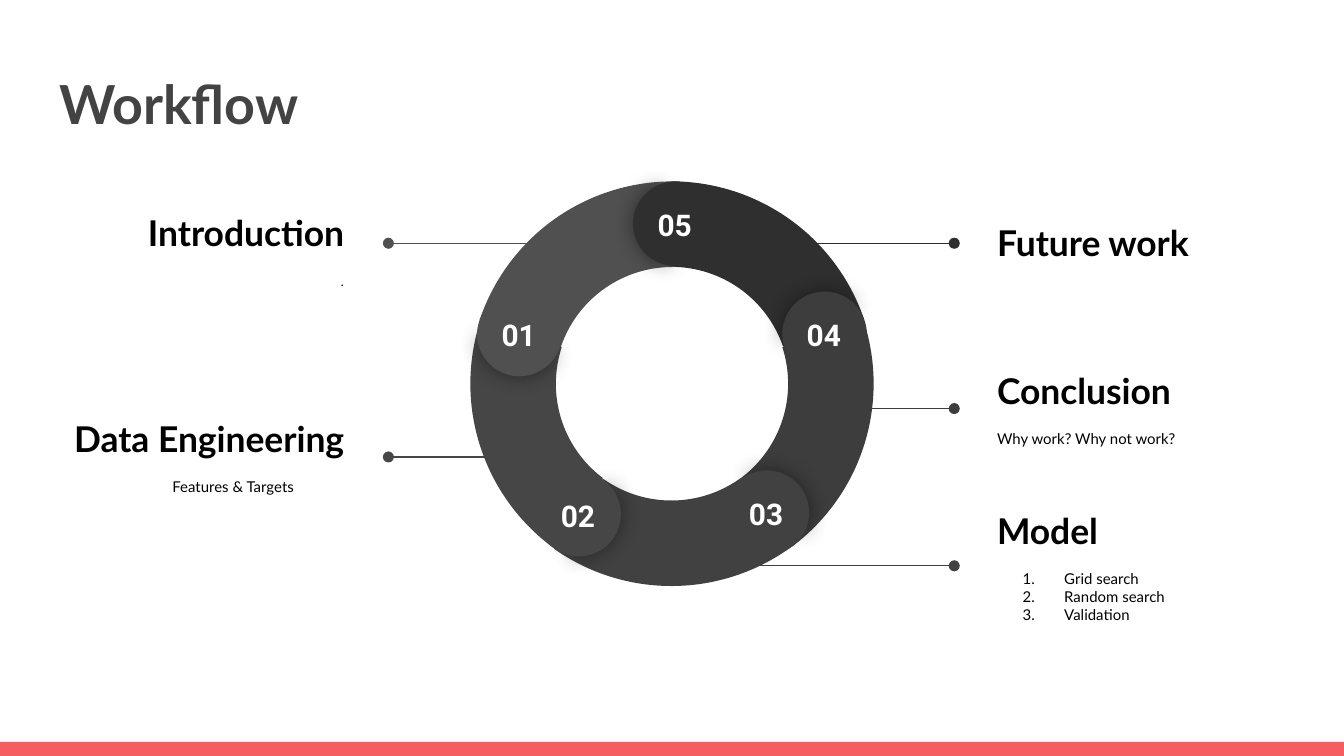
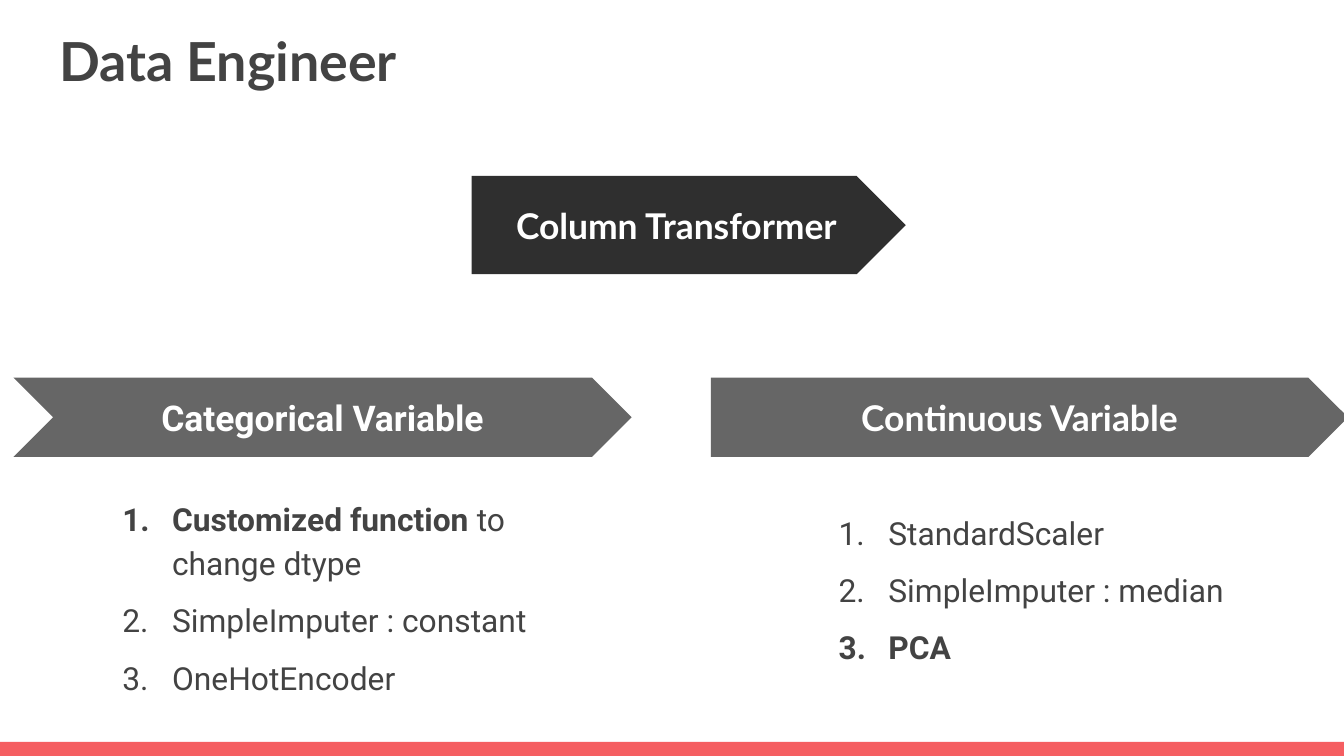
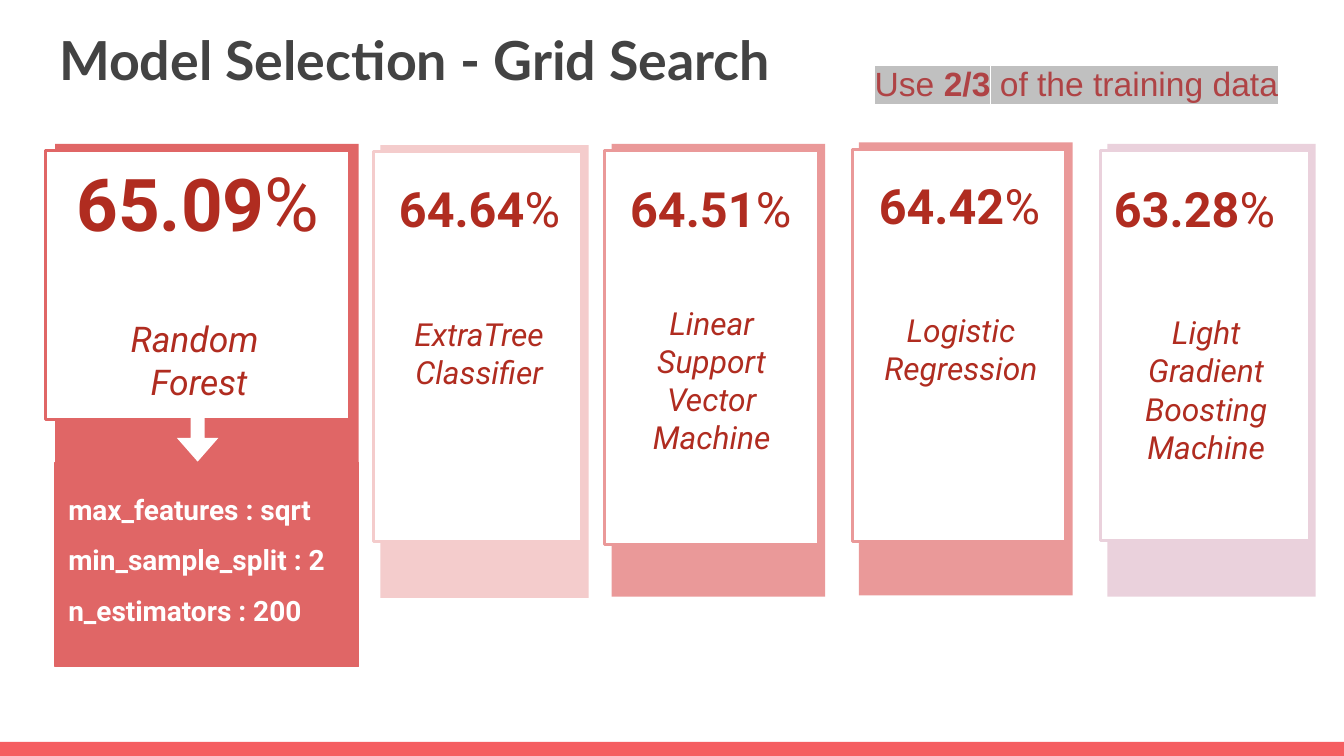
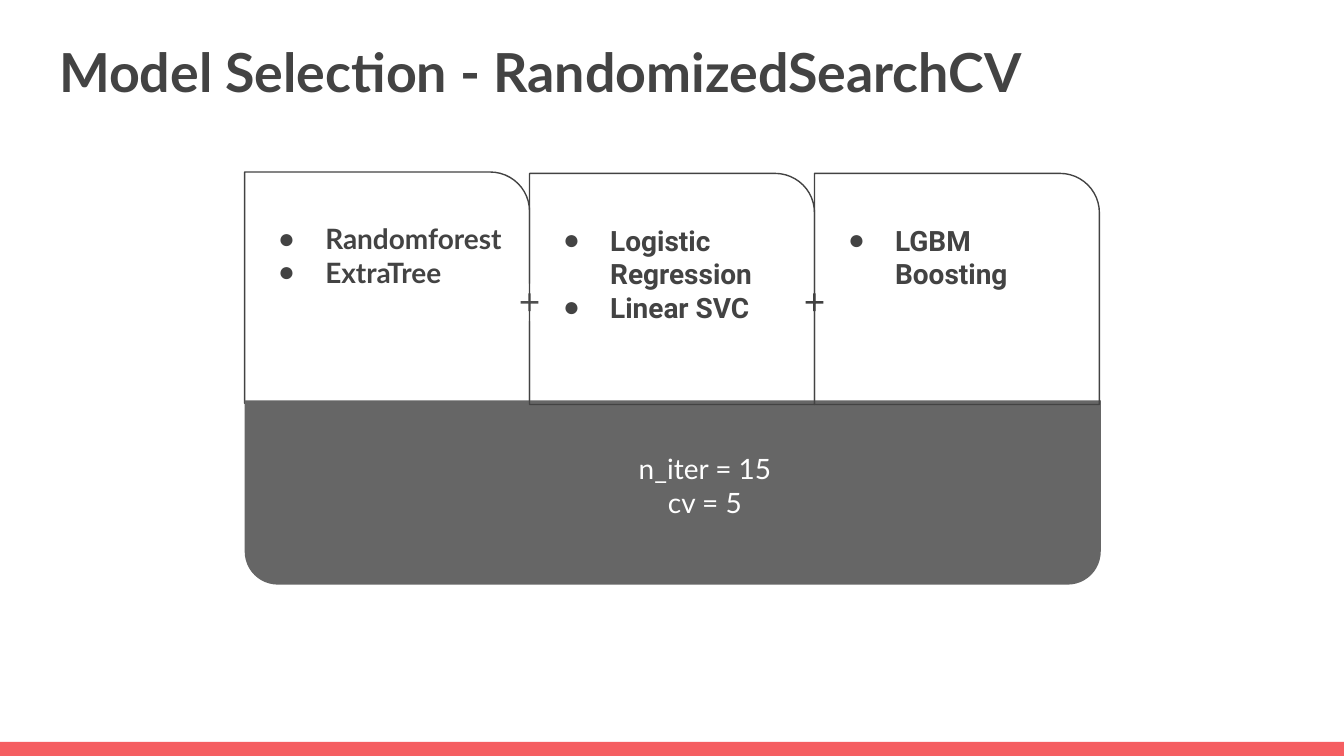
from dataclasses import dataclass, replace

from lxml import etree
from pptx import Presentation
from pptx.dml.color import RGBColor
from pptx.enum.shapes import MSO_CONNECTOR, MSO_SHAPE
from pptx.enum.text import MSO_ANCHOR, MSO_AUTO_SIZE, PP_ALIGN
from pptx.oxml.ns import qn
from pptx.util import Pt

PX = 9144  # EMU per px, 100 px to the inch

# Enum members
LEFT, CENTER, RIGHT = PP_ALIGN.LEFT, PP_ALIGN.CENTER, PP_ALIGN.RIGHT
TOP, MIDDLE = MSO_ANCHOR.TOP, MSO_ANCHOR.MIDDLE
FIXED, GROW = MSO_AUTO_SIZE.NONE, MSO_AUTO_SIZE.SHAPE_TO_FIT_TEXT
STRAIGHT = MSO_CONNECTOR.STRAIGHT
RECT, ELLIPSE, PLUS = MSO_SHAPE.RECTANGLE, MSO_SHAPE.OVAL, MSO_SHAPE.MATH_PLUS
ARC, PIE = MSO_SHAPE.BLOCK_ARC, MSO_SHAPE.PIE
PENTAGON, CHEVRON = MSO_SHAPE.PENTAGON, MSO_SHAPE.CHEVRON
ARROW = MSO_SHAPE.RIGHT_ARROW
ROUND_ONE = MSO_SHAPE.ROUND_1_RECTANGLE
ROUND_TWO = MSO_SHAPE.ROUND_2_SAME_RECTANGLE

# Template layouts
TITLE_ONLY, TWO_LISTS, FOUR_BODIES = 5, 3, 4

# Colours
BLACK = RGBColor(0x00, 0x00, 0x00)
WHITE = RGBColor(0xFF, 0xFF, 0xFF)
CORAL = RGBColor(0xF5, 0x5E, 0x61)
INK = RGBColor(0x43, 0x43, 0x43)
GREY = RGBColor(0x66, 0x66, 0x66)
CHARCOAL = RGBColor(0x2F, 0x2F, 0x2F)
GREY_01 = RGBColor(0x50, 0x50, 0x50)
GREY_02 = RGBColor(0x46, 0x46, 0x46)
GREY_03 = RGBColor(0x41, 0x41, 0x41)
GREY_04 = RGBColor(0x3D, 0x3D, 0x3D)
RED = RGBColor(0xE0, 0x66, 0x66)
SALMON = RGBColor(0xEA, 0x99, 0x99)
BLUSH = RGBColor(0xF4, 0xCC, 0xCC)
MAUVE = RGBColor(0xEA, 0xD1, 0xDC)
BRICK = RGBColor(0xB0, 0x2C, 0x20)
NOTE_RED = RGBColor(0xAF, 0x43, 0x45)
SILVER = RGBColor(0xC0, 0xC0, 0xC0)


@dataclass(frozen=True)
class TextStyle:
    size: float
    color: RGBColor
    name: str = "Lato"
    bold: bool = False
    italic: bool = False

    def apply(self, font):
        font.size, font.name = Pt(self.size), self.name
        font.bold, font.italic = self.bold, self.italic
        font.color.rgb = self.color


TITLE = TextStyle(28.8, INK, bold=True)
HEADING = TextStyle(19, BLACK, bold=True)
DETAIL = TextStyle(8, BLACK)
BANNER = TextStyle(19, WHITE, bold=True)
STEP = TextStyle(17, INK, "Roboto")
STEP_BOLD = replace(STEP, bold=True)
SEGMENT = TextStyle(16, WHITE, "Roboto", bold=True)
SCORE = TextStyle(26, BRICK, "Roboto", bold=True)
MODEL = TextStyle(17, BRICK, "Roboto", italic=True)
PARAMETER = TextStyle(15, WHITE, "Roboto", bold=True)
NOTE = TextStyle(18, NOTE_RED, "Arial")
CANDIDATE = TextStyle(15, INK, "Roboto", bold=True)
SETTING = TextStyle(15, WHITE)


def color_xml(parent, tag, color):
    """Add an element holding one RGB colour."""
    holder = etree.SubElement(parent, qn(tag))
    return holder, etree.SubElement(holder, qn("a:srgbClr"), val=str(color))


class Deck:
    """The shared style and the slide being filled."""

    def __init__(self):
        self.prs = Presentation()
        self.prs.slide_width, self.prs.slide_height = 1000 * PX, 5143500
        self.slide = None
        self.bodies = []

    def new_slide(self, layout, title, y):
        self.slide = self.prs.slides.add_slide(self.prs.slide_layouts[layout])
        self.bodies = [p for p in self.slide.placeholders
                       if p.placeholder_format.idx]
        if len(self.prs.slides) == 1:
            self.master_band()
        heading = self.slide.shapes.title
        self.place(heading, 34, y, 932, 68)
        self.setup(heading.text_frame)
        self.add_lines(heading.text_frame, [title], TITLE)

    def master_band(self):
        band = self.shape(RECT, 0, 552, 1000, 11, CORAL).element
        band.nvSpPr.cNvPr.set("id", "99")
        self.prs.slide_master.element.cSld.spTree.insert(2, band)

    def place(self, item, x, y, w, h):
        item.left, item.top = x * PX, y * PX
        item.width, item.height = w * PX, h * PX

    def setup(self, frame, anchor=TOP, inset=10, fit=FIXED):
        frame.word_wrap, frame.auto_size = True, fit
        frame.vertical_anchor = anchor
        frame.margin_left = frame.margin_right = 10 * PX
        frame.margin_top = frame.margin_bottom = inset * PX

    def add_lines(self, frame, lines, style, align=LEFT, spacing=1.0, after=0,
                  indent=(0, 0), marker=None):
        """Add paragraphs; a line is a string or a list of (text, style)."""
        for line in lines:
            paragraph = (frame.add_paragraph() if frame.text
                         else frame.paragraphs[0])
            paragraph.alignment, paragraph.line_spacing = align, spacing
            paragraph.space_before, paragraph.space_after = Pt(0), Pt(after)
            runs = [(line, style)] if isinstance(line, str) else line
            self.mark(paragraph, indent, marker, style.color)
            style.apply(paragraph.font)
            for text, run_style in runs:
                run = paragraph.add_run()
                run.text = text
                run_style.apply(run.font)

    def mark(self, paragraph, indent, marker, color):
        properties = paragraph._p.get_or_add_pPr()
        properties.set("marL", str(indent[0] * PX))
        properties.set("indent", str(indent[1] * PX))
        if marker is None:
            etree.SubElement(properties, qn("a:buNone"))
            return
        color_xml(properties, "a:buClr", color)
        if marker == "1.":
            etree.SubElement(properties, qn("a:buAutoNum"), type="arabicPeriod")
        else:
            etree.SubElement(properties, qn("a:buChar"), char=marker)

    def text(self, x, y, w, h, lines, style, anchor=TOP, inset=10, fit=FIXED,
             **layout):
        box = self.slide.shapes.add_textbox(x * PX, y * PX, w * PX, h * PX)
        self.setup(box.text_frame, anchor, inset, fit)
        self.add_lines(box.text_frame, lines, style, **layout)
        return box.text_frame

    def bullets(self, x, y, w, h, style, marker, indent):
        """Place the next body placeholder; returns its line adder."""
        body = self.bodies.pop(0)
        self.place(body, x, y, w, h)
        self.setup(body.text_frame)

        def add(lines, spacing=1.0):
            self.add_lines(body.text_frame, lines, style, spacing=spacing,
                           indent=indent, marker=marker)
        return add

    def shape(self, kind, x, y, w, h, fill=None, line=None, width=0.75,
              adjust=(), rotation=0):
        shape = self.slide.shapes.add_shape(kind, x * PX, y * PX, w * PX, h * PX)
        shape.shadow.inherit = False
        shape.rotation = rotation
        for index, value in enumerate(adjust):
            shape.adjustments[index] = value
        if fill is None:
            shape.fill.background()
        else:
            shape.fill.solid()
            shape.fill.fore_color.rgb = fill
        if line is None:
            shape.line.fill.background()
        else:
            shape.line.color.rgb = line
            shape.line.width = Pt(width)
        return shape

    def banner(self, kind, x, y, w, h, fill, label, style=BANNER):
        frame = self.shape(kind, x, y, w, h, fill, adjust=(0.5,)).text_frame
        self.setup(frame, MIDDLE)
        self.add_lines(frame, [label], style, align=CENTER)

    def glow(self, shape):
        effects = shape.element.spPr.find(qn("a:effectLst"))
        shadow, color = color_xml(effects, "a:outerShdw", BLACK)
        shadow.set("blurRad", str(Pt(11.2)))
        shadow.set("dist", "0")
        shadow.set("rotWithShape", "0")
        etree.SubElement(color, qn("a:alpha"), val="43000")

    def pointer(self, start, end, y, color):
        """A horizontal line with a dot at its end."""
        pointer = self.slide.shapes.add_connector(
            STRAIGHT, start * PX, y * PX, end * PX, y * PX)
        pointer.line.color.rgb = color
        pointer.line.width = Pt(0.75)
        properties = pointer.element.spPr
        etree.SubElement(properties.find(qn("a:ln")), qn("a:tailEnd"), type="oval")
        etree.SubElement(properties, qn("a:effectLst"))

    def highlight(self, frame, color):
        for run in frame.paragraphs[0].runs:
            properties = run._r.get_or_add_rPr()
            mark, _ = color_xml(properties, "a:highlight", color)
            properties.find(qn("a:solidFill")).addnext(mark)

    def drop_empty(self):
        for body in self.bodies:
            body.element.getparent().remove(body.element)


def workflow(deck):
    deck.new_slide(TITLE_ONLY, "Workflow", 43)

    # Topics: heading, x, y, alignment, pointer start, end, y, colour
    topics = [
        ("Introduction", 34, 136, RIGHT, 423, 289, 181, GREY_01),
        ("Data Engineering", 34, 289, RIGHT, 391, 289, 340, GREY_02),
        ("Model", 732, 371, LEFT, 509, 710, 421, GREY_03),
        ("Future work", 732, 130, LEFT, 570, 710, 181, CHARCOAL),
        ("Conclusion", 732, 253, LEFT, 614, 710, 304, GREY_04),
    ]
    details = {
        "Introduction": (["."], replace(DETAIL, name="Roboto"),
                         dict(align=RIGHT)),
        "Data Engineering": (["Features & Targets "], DETAIL,
                             dict(align=CENTER, indent=(50, 0))),
        "Model": (["Grid search", "Random search", "Validation"], DETAIL,
                  dict(indent=(50, -31), marker="1.")),
        "Conclusion": (["Why work? Why not work?"], DETAIL, {}),
    }
    for topic, x, y, align, start, end, pointer_y, color in topics:
        deck.pointer(start, end, pointer_y, color)
        frame = deck.text(x, y, 232, 101, [topic], HEADING, MIDDLE,
                          align=align, after=9.6 if topic in details else 0)
        if topic in details:
            lines, style, layout = details[topic]
            deck.add_lines(frame, lines, style, **layout)

    # Ring: colour, arc (x, y, rotation, start angle), cap (x, y, rotation)
    ring = {
        "01": (GREY_01, (349, 135, 350, 125.13), (355, 217, 284.1)),
        "02": (GREY_02, (350, 134, 277, 126.02), (399, 351, 211.1)),
        "03": (GREY_03, (348, 133, 204, 126.02), (539, 350, 139.1)),
        "04": (GREY_04, (347, 134, 132, 126.02), (582, 217, 67.1)),
        "05": (CHARCOAL, (348, 135, 60, 126.02), (471, 135, 357.1)),
    }

    def arc(number):
        color, (x, y, rotation, start), _ = ring[number]
        deck.shape(ARC, x, y, 303, 303, color, rotation=rotation,
                   adjust=(start, 168.68, 0.21))

    def cap(number):
        color, _, (x, y, rotation) = ring[number]
        deck.glow(deck.shape(PIE, x, y, 63, 63, color, rotation=rotation,
                             adjust=(61.9, 149.96)))
        deck.shape(PIE, x, y, 63, 63, color, adjust=(40.28, 171.84),
                   rotation=(rotation - 180.7) % 360)

    # Back to front, so that each cap overlaps the next arc
    for draw, numbers in [(arc, ["02", "04", "05"]), (cap, ["04"]),
                          (arc, ["03"]), (cap, ["02"]), (arc, ["01"]),
                          (cap, ["05", "03", "01"])]:
        for number in numbers:
            draw(number)
    for number, (_, _, (x, y, _)) in ring.items():
        deck.text(x + 3, y + 9, 56, 29, [number], SEGMENT, align=CENTER)


def data_engineer(deck):
    deck.new_slide(TWO_LISTS, "Data Engineer", 11)

    # Continuous branch
    deck.banner(PENTAGON, 529, 281, 474, 59, GREY, "Continuous Variable")
    continuous = deck.bullets(601, 358, 331, 230, STEP, "1.", (50, -37))
    continuous(["StandardScaler", "SimpleImputer : median",
                [("PCA", STEP_BOLD)]], 1.5)

    # Categorical branch
    deck.banner(CHEVRON, 10, 281, 460, 59, GREY, "Categorical Variable",
                replace(BANNER, name="Roboto"))
    categorical = deck.bullets(68, 358, 362, 230, STEP, "1.", (50, -37))
    categorical([[("Customized function ", STEP_BOLD),
                  ("to change dtype", STEP)]], 1.15)
    categorical(["SimpleImputer : constant", "OneHotEncoder"], 1.5)

    deck.banner(PENTAGON, 351, 131, 323, 73, CHARCOAL, "Column Transformer")


def grid_search(deck):
    deck.new_slide(TITLE_ONLY, "Model Selection - Grid Search", 10)

    def score(x, y, w, h, value, style, percent_size):
        percent = replace(style, size=percent_size, bold=False)
        deck.text(x, y, w, h, [[(value, style), ("%", percent)]], style)

    # Best model
    deck.shape(RECT, 41, 107, 226, 360, RED)
    deck.shape(RECT, 34, 112, 226, 200, WHITE, RED, 1.5)
    deck.text(47, 226, 202, 87, ["Random ", "Forest"],
              replace(MODEL, size=19), align=CENTER)
    score(47, 107, 202, 70, "65.09", replace(SCORE, size=39), 40)
    deck.shape(ARROW, 130, 311, 34, 31, WHITE, adjust=(0.34, 0.57), rotation=90)
    parameters = deck.shape(RECT, 41, 344, 226, 152, RED, RED).text_frame
    deck.setup(parameters)
    deck.add_lines(parameters, ["max_features : sqrt", "min_sample_split : 2",
                                "n_estimators : 200"], PARAMETER, spacing=1.5)

    # Other models: card x, y, width, front height, colour,
    # score (value, x, y, width), name (words, x, y, width, height)
    cards = [
        (283, 108, 155, 290, BLUSH, ("64.64", 287, 123, 146),
         ("ExtraTree Classifier", 287, 224, 139, 159)),
        (455, 107, 159, 293, SALMON, ("64.51", 459, 123, 142),
         ("Linear Support Vector Machine", 450, 216, 159, 162)),
        (639, 106, 159, 292, SALMON, ("64.42", 644, 121, 142),
         ("Logistic Regression", 644, 221, 142, 124)),
        (824, 107, 155, 290, MAUVE, ("63.28", 819, 123, 155),
         ("Light Gradient Boosting Machine", 828, 223, 139, 77)),
    ]
    for x, y, w, front, color, (value, *score_at), (model, *name_at) in cards:
        deck.shape(RECT, x, y, w, 337, color)
        deck.shape(RECT, x - 5, y + 5, w, front, WHITE, color, 1.5)
        deck.text(*name_at, model.split(), MODEL, align=CENTER)
        score(*score_at, 56, value, SCORE, 26)

    # Note on the sample
    note = deck.text(641, 42, 338, 40,
                     [[("Use ", NOTE), ("2/3", replace(NOTE, bold=True)),
                       (" of the training data", NOTE)]],
                     NOTE, inset=5, fit=GROW)
    deck.highlight(note, SILVER)


def randomized_search(deck):
    deck.new_slide(FOUR_BODIES, "Model Selection - RandomizedSearchCV", 19)
    first, step = 182, 212

    def card(column, y, models, style=CANDIDATE):
        x = first + step * column
        deck.shape(ROUND_ONE, x, y, step, 172, line=INK, adjust=(0.17,))
        deck.bullets(x, y + 27, step, 100, style, "●", (50, -35))(models)

    card(0, 128, ["Randomforest", "ExtraTree"], replace(CANDIDATE, name="Lato"))

    # Plus signs on the seams
    for column, color in enumerate([GREY_01, GREY_03], start=1):
        seam = first + step * column
        deck.shape(ELLIPSE, seam - 14, 211, 28, 28, WHITE)
        deck.shape(PLUS, seam - 9, 216, 18, 18, color, adjust=(0.1,))

    # Shared settings
    deck.shape(ROUND_TWO, first, 298, 637, 137, GREY, adjust=(0.18, 0),
               rotation=180)
    deck.text(282, 326, 435, 109, ["n_iter = 15", "cv = 5"], SETTING,
              align=CENTER, indent=(50, 0))

    card(1, 129, ["Logistic Regression", "Linear SVC"])
    card(2, 129, ["LGBM Boosting"])


def main():
    deck = Deck()
    for build in (workflow, data_engineer, grid_search, randomized_search):
        build(deck)
        deck.drop_empty()
    deck.prs.save("out.pptx")


if __name__ == "__main__":
    main()
